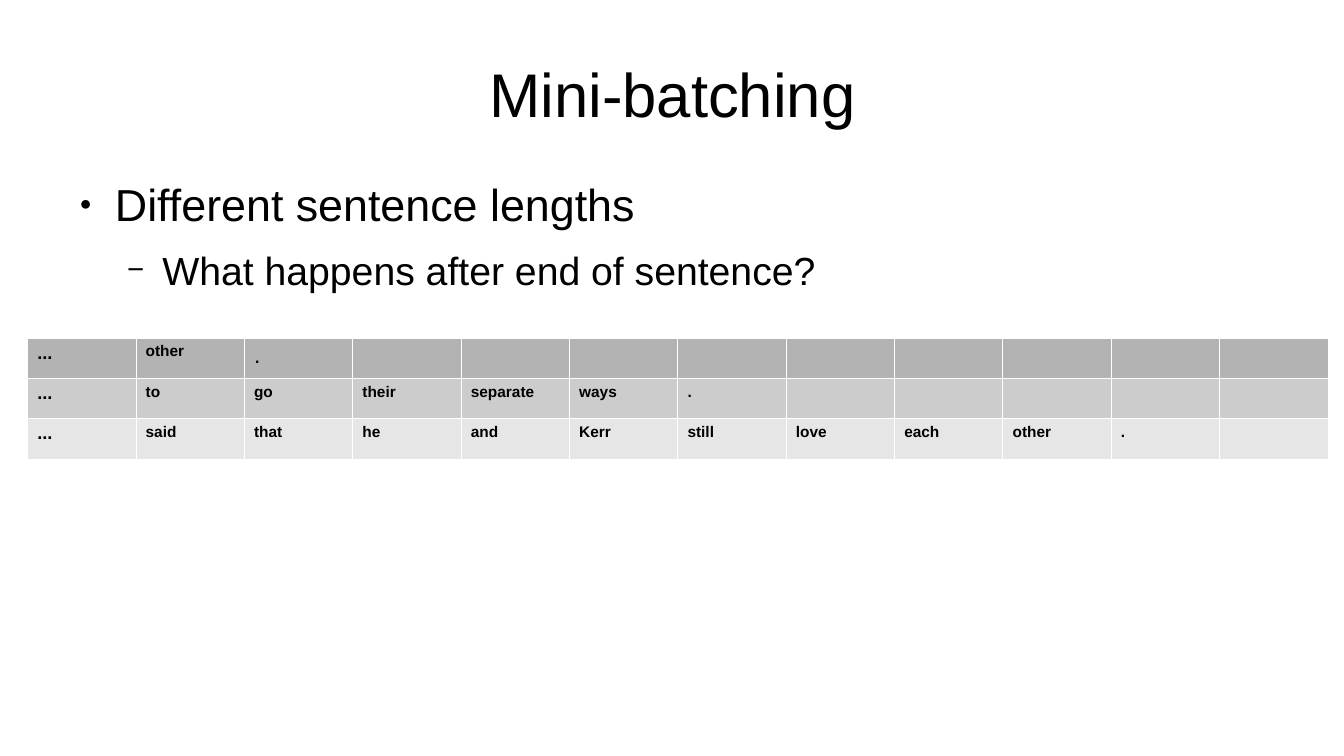
import pptx
import pptx.dml.color
import pptx.enum.text
import pptx.oxml
import pptx.oxml.ns
import pptx.util
from pptx.util import Inches

RGBColor = pptx.dml.color.RGBColor
BLACK = RGBColor(0x00, 0x00, 0x00)
WHITE = RGBColor(0xFF, 0xFF, 0xFF)
ROW_FILLS = [RGBColor(0xB3, 0xB3, 0xB3), RGBColor(0xCC, 0xCC, 0xCC), RGBColor(0xE6, 0xE6, 0xE6)]
COLUMN_COUNT = 12
NAMESPACE = pptx.oxml.ns.nsdecls("a")


class SlideBuilder:
    """Holds the text style and the current slide."""

    font_name = "Arial"

    def __init__(self, slide):
        self.slide = slide

    def add_text(self, paragraph, text, size, bold=False):
        run = paragraph.add_run()
        run.text = text
        run.font.color.rgb = BLACK
        font_format = {"name": self.font_name, "size": pptx.util.Pt(size), "bold": bold}
        for name, value in font_format.items():
            setattr(run.font, name, value)

    def text_frame(self, left, top, width, height, anchor):
        box = self.slide.shapes.add_textbox(Inches(left), Inches(top), Inches(width), Inches(height))
        frame_format = {"word_wrap": True, "vertical_anchor": anchor, "margin_left": 0,
                        "margin_top": 0, "margin_right": 0, "margin_bottom": 0}
        for name, value in frame_format.items():
            setattr(box.text_frame, name, value)
        return box.text_frame

    def title(self, text):
        frame = self.text_frame(0.67, 0.3, 12, 1.25, pptx.enum.text.MSO_ANCHOR.MIDDLE)
        paragraph = frame.paragraphs[0]
        paragraph.alignment = pptx.enum.text.PP_ALIGN.CENTER
        self.add_text(paragraph, text, 44)

    def bullets(self, items):
        frame = self.text_frame(0.67, 1.75, 12, 5.32, pptx.enum.text.MSO_ANCHOR.TOP)
        for level, (text, size, space_before, mark, mark_percent) in enumerate(items):
            paragraph = frame.add_paragraph() if level else frame.paragraphs[0]
            paragraph.level = level
            paragraph.space_before = pptx.util.Pt(space_before)
            self.add_text(paragraph, text, size)
            properties = paragraph._p.get_or_add_pPr()
            properties.set("marL", str(Inches(0.47 * (level + 1))))
            properties.set("indent", str(Inches(-0.35)))
            for xml in (f'<a:buClr {NAMESPACE}><a:srgbClr val="{BLACK}"/></a:buClr>',
                        f'<a:buSzPct {NAMESPACE} val="{mark_percent * 1000}"/>',
                        f'<a:buFont {NAMESPACE} typeface="{self.font_name}"/>',
                        f'<a:buChar {NAMESPACE} char="{mark}"/>'):
                properties.append(pptx.oxml.parse_xml(xml))

    def cell_style(self, cell, fill):
        properties = cell._tc.get_or_add_tcPr()
        for side in ("lnL", "lnR", "lnT", "lnB"):
            properties.append(pptx.oxml.parse_xml(
                f'<a:{side} {NAMESPACE} w="{pptx.util.Pt(0.06)}"><a:solidFill>'
                f'<a:srgbClr val="{WHITE}"/></a:solidFill></a:{side}>'))
        cell.fill.solid()
        cell.fill.fore_color.rgb = fill

    def table(self, sentences, row_heights):
        frame = self.slide.shapes.add_table(len(sentences), COLUMN_COUNT, Inches(0.27), Inches(3.35),
                                            Inches(12.9), Inches(sum(row_heights)))
        table = frame.table
        table.first_row = table.horz_banding = False
        for row_index, words in enumerate(sentences):
            table.rows[row_index].height = Inches(row_heights[row_index])
            for column_index in range(COLUMN_COUNT):
                cell = table.cell(row_index, column_index)
                self.cell_style(cell, ROW_FILLS[row_index])
                if column_index < len(words):
                    text = words[column_index]
                    size = 13 if text == "..." else 11
                    bold = True
                    # The full stop of the shortest sentence is larger and not bold
                    if (row_index, text) == (0, "."):
                        size, bold = 16.4, False
                    self.add_text(cell.text_frame.paragraphs[0], text, size, bold)


presentation = pptx.Presentation()
presentation.slide_width = Inches(13.33)
presentation.slide_height = Inches(7.5)
builder = SlideBuilder(presentation.slides.add_slide(presentation.slide_layouts[6]))

# Title and bullet list
builder.title("Mini-batching")
builder.bullets([
    ("Different sentence lengths", 32, 14.2, "\u25cf", 45),
    ("What happens after end of sentence?", 28, 11.3, "\u2212", 75),
])

# Batch of sentences, one word a cell
builder.table([
    ["...", "other", "."],
    ["...", "to", "go", "their", "separate", "ways", "."],
    ["...", "said", "that", "he", "and", "Kerr", "still", "love", "each", "other", "."],
], [0.4, 0.32, 0.32])

presentation.save("out.pptx")
